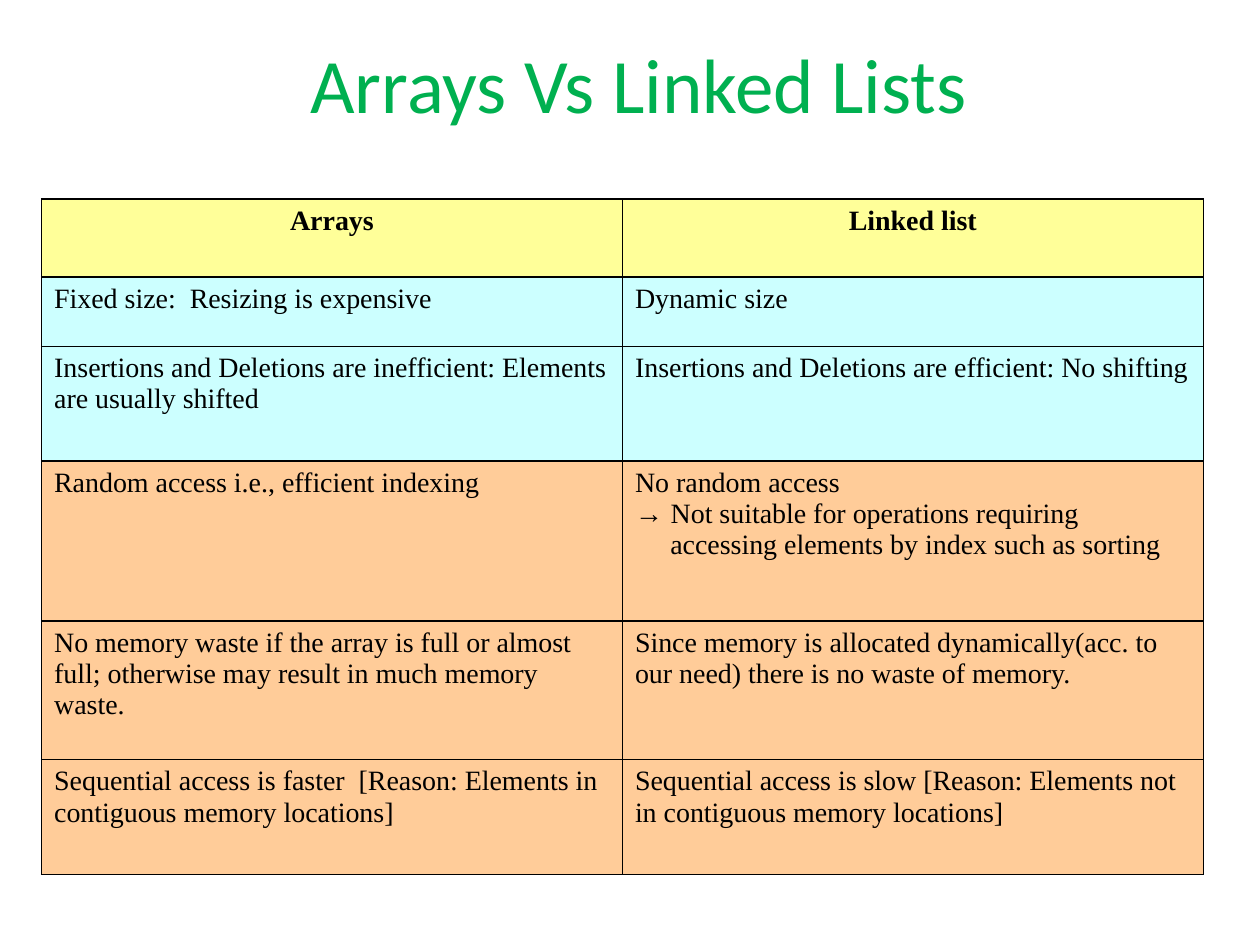
from lxml import etree
from pptx import Presentation
from pptx.dml.color import RGBColor
from pptx.enum import text
from pptx.oxml.ns import qn
from pptx.util import Inches, Pt

GREEN = RGBColor(0x00, 0xB0, 0x50)
BLACK = RGBColor(0x00, 0x00, 0x00)
YELLOW = RGBColor(0xFF, 0xFF, 0x99)
CYAN = RGBColor(0xCC, 0xFF, 0xFF)
ORANGE = RGBColor(0xFF, 0xCC, 0x99)

# Row height, fill, arrays text, linked list text
ROWS = [
    (0.62, YELLOW, "Arrays", "Linked list"),
    (0.55, CYAN, "Fixed size:  Resizing is expensive", "Dynamic size"),
    (0.91, CYAN,
     "Insertions and Deletions are inefficient: Elements are usually shifted",
     "Insertions and Deletions are efficient: No shifting"),
    (1.27, ORANGE, "Random access i.e., efficient indexing",
     "No random access\n→ Not suitable for operations requiring\n"
     "accessing elements by index such as sorting"),
    (1.10, ORANGE,
     "No memory waste if the array is full or almost full; "
     "otherwise may result in much memory waste.",
     "Since memory is allocated dynamically(acc. to our need) "
     "there is no waste of memory."),
    (0.91, ORANGE,
     "Sequential access is faster  [Reason: Elements in contiguous memory locations]",
     "Sequential access is slow [Reason: Elements not in contiguous memory locations]"),
]


def add_borders(cell):
    properties = cell._tc.get_or_add_tcPr()
    for position, side in enumerate(("lnL", "lnR", "lnT", "lnB")):
        line = etree.Element(qn(f"a:{side}"), w=str(Pt(0.96)))
        fill = etree.SubElement(line, qn("a:solidFill"))
        etree.SubElement(fill, qn("a:srgbClr"), val=str(BLACK))
        properties.insert(position, line)


presentation = Presentation()
presentation.slide_width = Inches(10)
presentation.slide_height = Inches(7.5)
slide = presentation.slides.add_slide(presentation.slide_layouts[5])

# Title, nudged right by its left margin
title = slide.shapes.title
title.left, title.top = Inches(2.03), Inches(0.29)
title.width, title.height = Inches(5.81), Inches(0.73)
frame = title.text_frame
frame.text = "Arrays Vs Linked Lists"
frame.auto_size = text.MSO_AUTO_SIZE.NONE
frame.vertical_anchor = text.MSO_ANCHOR.MIDDLE
frame.margin_left = Inches(0.37)
paragraph = frame.paragraphs[0]
paragraph.alignment = text.PP_ALIGN.CENTER
font = paragraph.runs[0].font
font.name, font.size = "Calibri", Pt(44)
font.color.rgb = GREEN

# Comparison table
table = slide.shapes.add_table(
    len(ROWS), 2, Inches(0.33), Inches(1.58), Inches(9.22), Inches(5.36)).table
table.horz_banding = False
for column in table.columns:
    column.width = Inches(4.61)

for row_index, (height, fill, *texts) in enumerate(ROWS):
    table.rows[row_index].height = Inches(height)
    for column_index, content in enumerate(texts):
        cell = table.cell(row_index, column_index)
        cell.fill.solid()
        cell.fill.fore_color.rgb = fill
        add_borders(cell)
        cell.text_frame.text = content
        for paragraph in cell.text_frame.paragraphs:
            if row_index == 0:
                paragraph.alignment = text.PP_ALIGN.CENTER
            # The arrow is a run of its own, in another font
            if paragraph.text.startswith("→ "):
                paragraph.runs[0].text = "→ "
                paragraph.add_run().text = "Not suitable for operations requiring"
            # The line below the arrow lines up with the words after it
            if paragraph.text.startswith("accessing"):
                paragraph._p.get_or_add_pPr().set("marL", str(Inches(0.28)))
            for run in paragraph.runs:
                run.font.name = "Arial" if run.text == "→ " else "Times New Roman"
                run.font.size = Pt(16)
                run.font.bold = row_index == 0
                run.font.color.rgb = BLACK

presentation.save("out.pptx")
